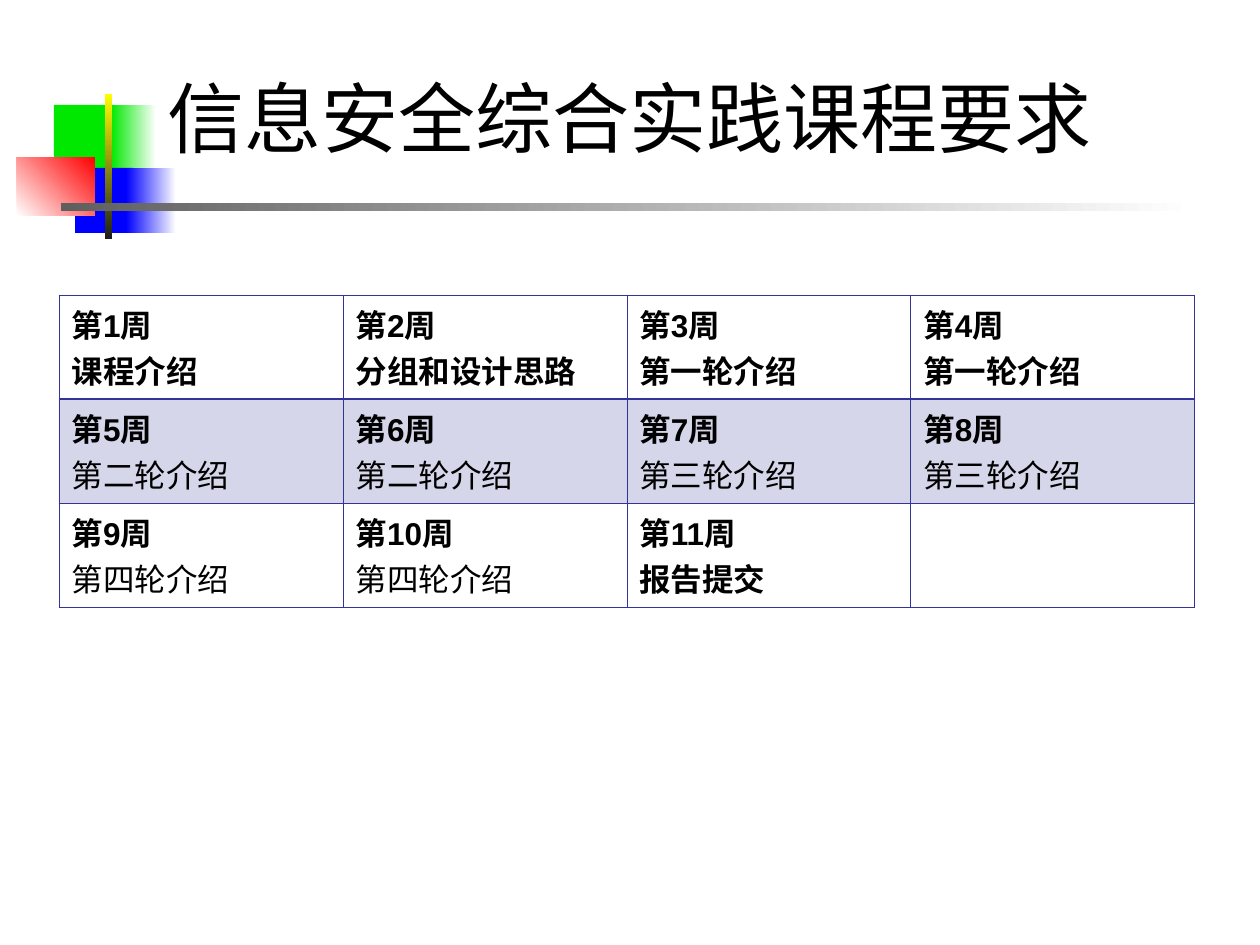
from lxml.etree import SubElement
from pptx import Presentation
from pptx.dml.color import RGBColor
from pptx.enum.shapes import MSO_SHAPE as Shape
from pptx.enum.text import MSO_ANCHOR as Anchor, PP_ALIGN as Align
from pptx.oxml.ns import qn
from pptx.util import Emu, Pt

PX = 914400 // 126
FONT = "Arial"
BLACK = RGBColor(0, 0, 0)
WHITE = RGBColor(255, 255, 255)
GREEN = RGBColor(0, 0xE8, 0)
BLUE = RGBColor(0, 0, 255)
RED = RGBColor(255, 0, 0)
YELLOW = RGBColor(255, 255, 0)
CHARCOAL = RGBColor(0x1C, 0x1C, 0x1C)
GRAY = RGBColor(0x5F, 0x5F, 0x5F)
INDIGO = RGBColor(0x33, 0x33, 0x99)

TITLE = "信息安全综合实践课程要求"

# (left, top, width, height), colours, counter-clockwise gradient angle
ORNAMENTS = [
    ((54, 105, 60, 65), [GREEN], 0),
    ((111, 105, 45, 65), [GREEN, WHITE], 0),
    ((75, 168, 58, 65), [BLUE], 0),
    ((126, 168, 50, 65), [BLUE, WHITE], 0),
    ((17, 157, 78, 59), [WHITE, RED], 45),
    ((105, 94, 7, 145), [YELLOW, CHARCOAL], 270),
    ((61, 203, 1134, 8), [GRAY, WHITE], 0),
]

# Topic of each week, and whether it is bold
WEEKS = [
    ("课程介绍", True), ("分组和设计思路", True),
    ("第一轮介绍", True), ("第一轮介绍", True),
    ("第二轮介绍", False), ("第二轮介绍", False),
    ("第三轮介绍", False), ("第三轮介绍", False),
    ("第四轮介绍", False), ("第四轮介绍", False),
    ("报告提交", True),
]
ROWS, COLS = 3, 4
TABLE_LEFT, TABLE_TOP, COL_WIDTH, ROW_HEIGHT = 59, 295, 284, 104
THIN, THICK = Pt(0.45), Pt(0.96)


def px(*lengths):
    return [Emu(length * PX) for length in lengths]


def style(paragraph, size, bold=False):
    font = paragraph.font
    font.name, font.size, font.bold = FONT, Pt(size), bold
    font.color.rgb = BLACK


def add_ornament(slide, box, colors, angle):
    ornament = slide.shapes.add_shape(Shape.RECTANGLE, *px(*box))
    ornament.shadow.inherit = False
    ornament.line.fill.background()
    if len(colors) == 1:
        ornament.fill.solid()
        ornament.fill.fore_color.rgb = colors[0]
        return
    ornament.fill.gradient()
    ornament.fill.gradient_angle = angle
    for stop, color in zip(ornament.fill.gradient_stops, colors):
        stop.color.rgb = color


def set_borders(cell, row):
    # The rule under the first row is the heavier one
    widths = {"a:lnL": THIN, "a:lnR": THIN,
              "a:lnT": THICK if row == 1 else THIN,
              "a:lnB": THICK if row == 0 else THIN}
    props = cell._tc.get_or_add_tcPr()
    for position, (tag, width) in enumerate(widths.items()):
        line = SubElement(props, qn(tag), w=str(int(width)))
        color = SubElement(SubElement(line, qn("a:solidFill")), qn("a:srgbClr"))
        color.set("val", str(INDIGO))
        props.insert(position, line)


def set_fill(cell, row):
    if row != 1:
        cell.fill.background()
        return
    cell.fill.solid()
    cell.fill.fore_color.rgb = INDIGO
    color = cell._tc.tcPr.find(qn("a:solidFill")).find(qn("a:srgbClr"))
    SubElement(color, qn("a:alpha"), val="20000")


def add_schedule(slide):
    frame = slide.shapes.add_table(ROWS, COLS, *px(
        TABLE_LEFT, TABLE_TOP, COL_WIDTH * COLS, ROW_HEIGHT * ROWS))
    schedule = frame.table
    schedule.first_row = schedule.horz_banding = False
    for index in range(ROWS * COLS):
        row, col = divmod(index, COLS)
        cell = schedule.cell(row, col)
        set_fill(cell, row)
        set_borders(cell, row)
        if index < len(WEEKS):
            topic, bold = WEEKS[index]
            cell.text = f"第{index + 1}周\n{topic}"
            for paragraph, weight in zip(cell.text_frame.paragraphs, (True, bold)):
                style(paragraph, 18, weight)


def main():
    prs = Presentation()
    prs.slide_width, prs.slide_height = px(1260, 945)
    slide = prs.slides.add_slide(prs.slide_layouts[6])

    # Ornament beside and under the title
    for box, colors, angle in ORNAMENTS:
        add_ornament(slide, box, colors, angle)

    # Title
    title = slide.shapes.add_textbox(*px(63, 38, 1134, 157)).text_frame
    title.word_wrap = True
    title.vertical_anchor = Anchor.MIDDLE
    title.text = TITLE
    title.paragraphs[0].alignment = Align.CENTER
    style(title.paragraphs[0], 44)

    # Weekly schedule
    add_schedule(slide)
    prs.save("out.pptx")


if __name__ == "__main__":
    main()
